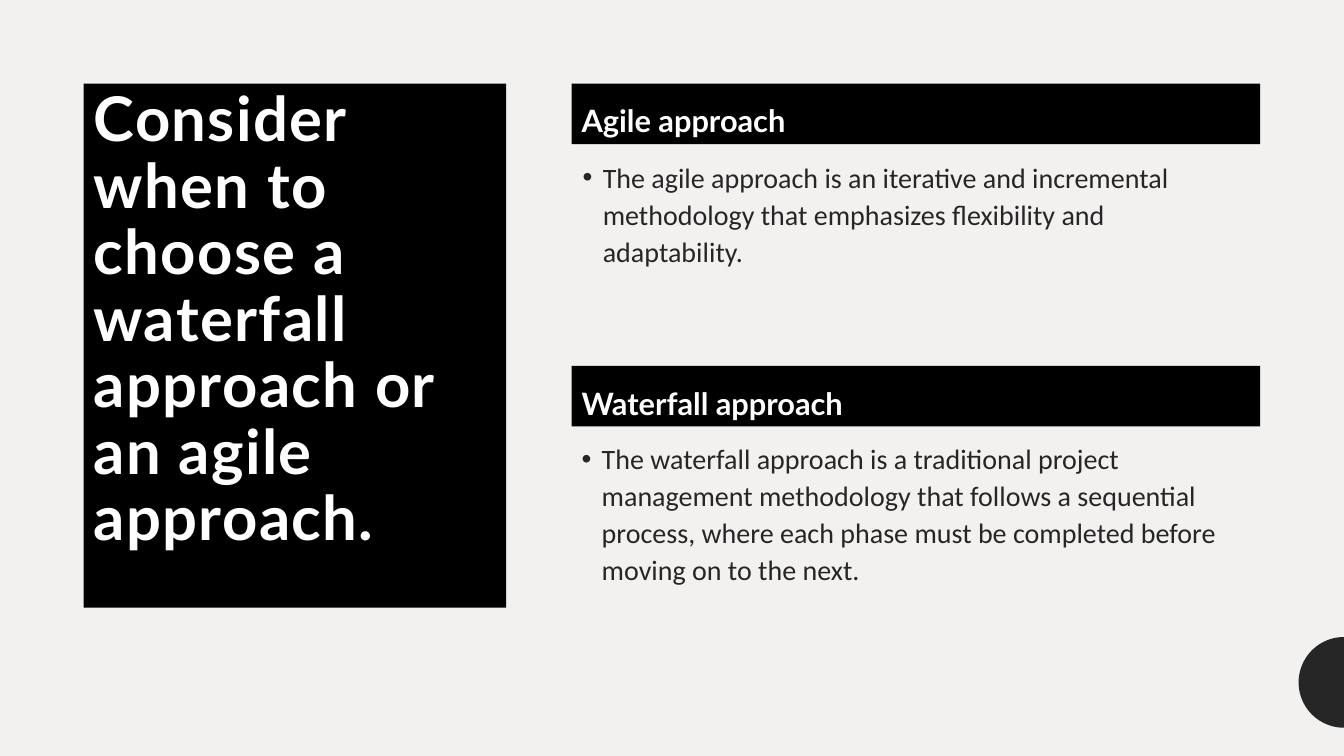
from dataclasses import dataclass
from math import cos, pi, sin

from lxml.etree import SubElement
from pptx import Presentation
from pptx.dml.color import RGBColor
from pptx.enum.shapes import MSO_SHAPE
from pptx.enum.text import MSO_ANCHOR, PP_ALIGN
from pptx.oxml.ns import qn
from pptx.util import Inches, Pt


@dataclass(frozen=True)
class Theme:
    """Colours, fonts and type sizes of the slide."""
    background: str = "F3F1F0"
    panel: str = "000000"
    panel_text: str = "FFFFFF"
    ink: str = "262626"
    heading_font: str = "Lato"
    body_font: str = "Calibri"
    title_size: int = 44
    heading_size: int = 22
    body_size: int = 20


class SlideBuilder:
    """Draws the elements of one slide in a given theme."""

    def __init__(self, slide, theme):
        self.slide = slide
        self.theme = theme
        slide.background.fill.solid()
        slide.background.fill.fore_color.rgb = RGBColor.from_string(theme.background)

    def paint(self, shape, color):
        shape.shadow.inherit = False
        shape.fill.solid()
        shape.fill.fore_color.rgb = RGBColor.from_string(color)
        shape.line.fill.background()

    def set_text(self, shape, text, font, size, color, bold, line_spacing, gap, anchor):
        frame = shape.text_frame
        frame.word_wrap = True
        frame.vertical_anchor = anchor
        frame.text = text
        paragraph = frame.paragraphs[0]
        paragraph.alignment = PP_ALIGN.LEFT
        paragraph.line_spacing = line_spacing
        paragraph.space_before = paragraph.space_after = Pt(gap)
        run = paragraph.runs[0]
        run.font.name = font
        run.font.size = Pt(size)
        run.font.bold = bold
        run.font.color.rgb = RGBColor.from_string(color)
        return paragraph

    def panel(self, box, text, size, line_spacing, gap, anchor):
        panel = self.slide.shapes.add_shape(MSO_SHAPE.RECTANGLE, *map(Inches, box))
        self.paint(panel, self.theme.panel)
        return self.set_text(panel, text, self.theme.heading_font, size,
                             self.theme.panel_text, True, line_spacing, gap, anchor)

    def title(self, box, text):
        paragraph = self.panel(box, text, self.theme.title_size, 0.9, 0, MSO_ANCHOR.TOP)
        paragraph.runs[0]._r.get_or_add_rPr().set("spc", "100")

    def heading(self, box, text):
        self.panel(box, text, self.theme.heading_size, 1.1, 4, MSO_ANCHOR.BOTTOM)

    def bullet(self, box, text):
        description = self.slide.shapes.add_textbox(*map(Inches, box))
        paragraph = self.set_text(description, text, self.theme.body_font,
                                  self.theme.body_size, self.theme.ink, False, 1.1, 4,
                                  MSO_ANCHOR.TOP)
        properties = paragraph._p.get_or_add_pPr()
        properties.set("marL", str(Inches(0.2)))
        properties.set("indent", str(Inches(-0.2)))
        SubElement(properties, qn("a:buFont")).set("typeface", "Arial")
        SubElement(properties, qn("a:buChar")).set("char", "•")

    def half_disc(self, center_x, center_y, radius, steps=48):
        angles = [pi / 2 + pi * step / steps for step in range(steps + 1)]
        rim = [(Inches(center_x + radius * cos(a)), Inches(center_y + radius * sin(a)))
               for a in angles]
        outline = self.slide.shapes.build_freeform(*rim[0])
        outline.add_line_segments(rim[1:], close=True)
        self.paint(outline.convert_to_shape(), self.theme.ink)


APPROACHES = [
    (0.83, "Agile approach", (5.68, 1.51, 6.82, 2),
     "The agile approach is an iterative and incremental methodology that emphasizes "
     "flexibility and adaptability."),
    (3.63, "Waterfall approach", (5.67, 4.3, 6.83, 2),
     "The waterfall approach is a traditional project management methodology that follows "
     "a sequential process, where each phase must be completed before moving on to the next."),
]


def main():
    """Build the slide and save it."""
    deck = Presentation()
    deck.slide_width, deck.slide_height = Inches(13.33), Inches(7.5)
    builder = SlideBuilder(deck.slides.add_slide(deck.slide_layouts[6]), Theme())
    builder.half_disc(13.33, 6.77, 0.45)
    for top, name, description_box, description in APPROACHES:
        builder.heading((5.67, top, 6.83, 0.6), name)
        builder.bullet(description_box, description)
    builder.title((0.83, 0.83, 4.19, 5.2),
                  "Consider when to choose a waterfall approach or an agile approach.")
    deck.save("out.pptx")


if __name__ == "__main__":
    main()
